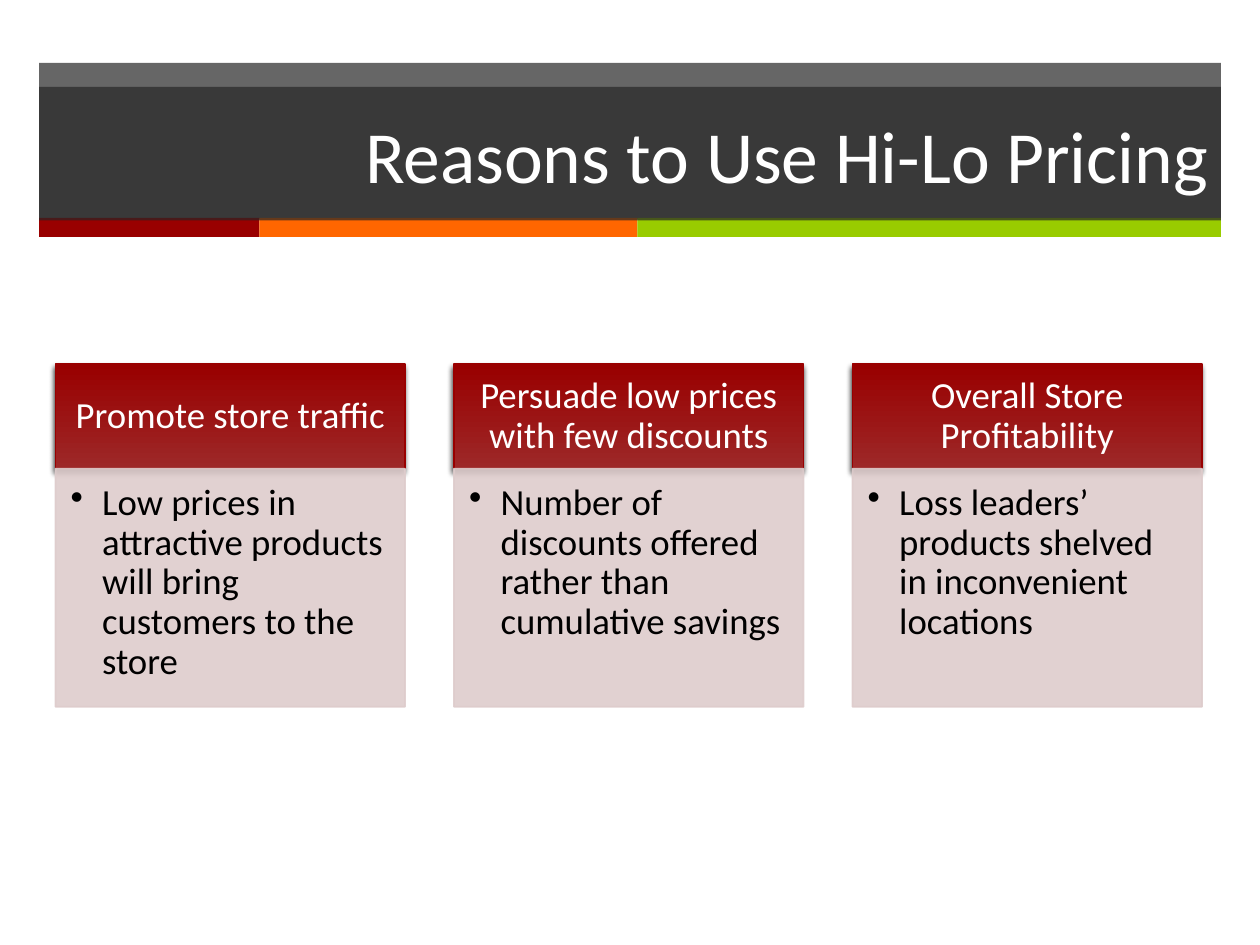
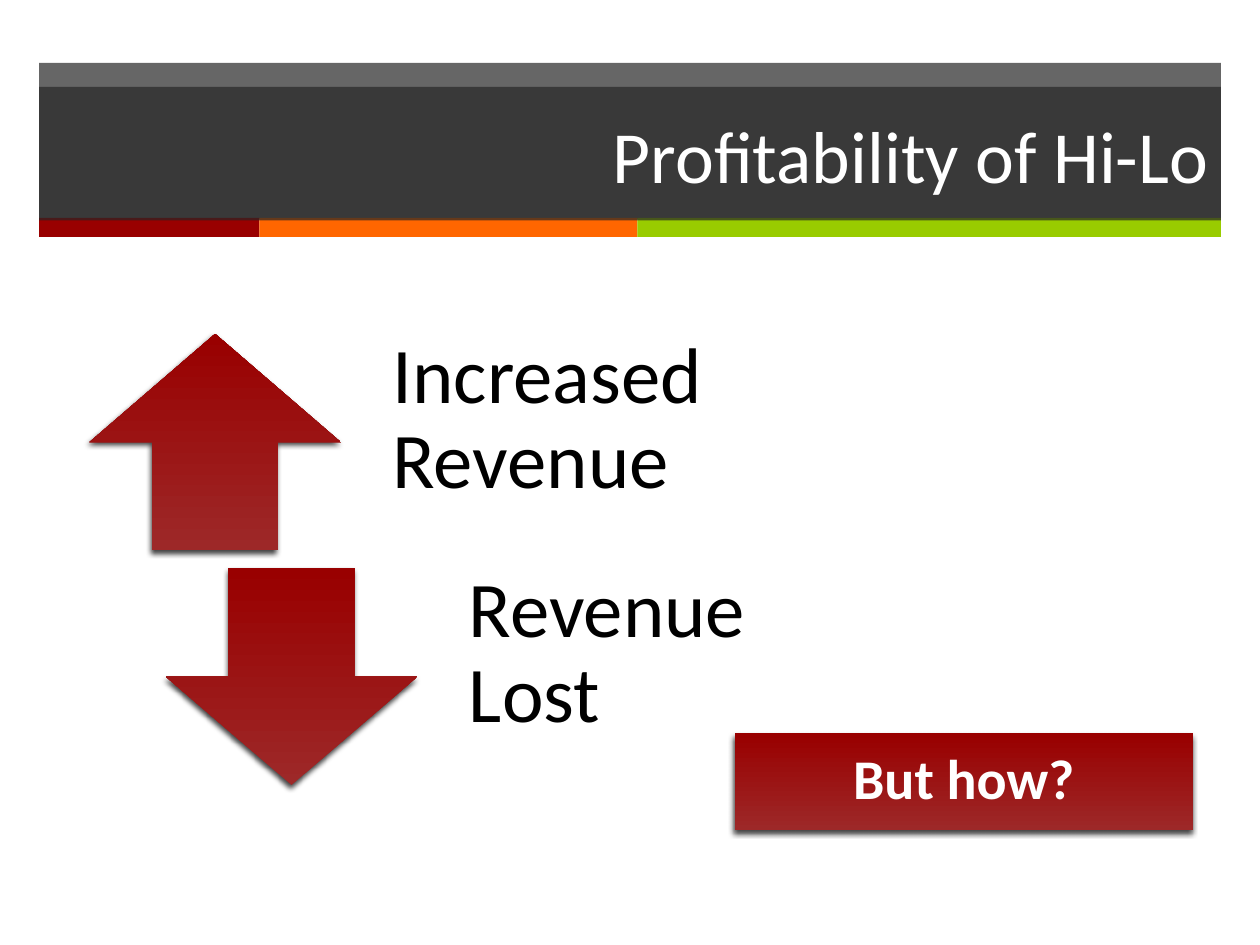
from lxml.etree import SubElement
from pptx import Presentation
from pptx.dml.color import RGBColor
from pptx.enum.shapes import MSO_SHAPE as SHAPE
from pptx.enum.text import MSO_ANCHOR as ANCHOR, MSO_AUTO_SIZE as AUTO, PP_ALIGN as ALIGN
from pptx.oxml.ns import qn
from pptx.util import Inches, Pt

FONT = "Calibri"
WHITE, BLACK, CHARCOAL = "FFFFFF", "000000", "262626"
RED, LIGHT_RED, PINK = "990000", "9D2828", "DECCCC"
STRIPES = [(RED, 1.75), ("FF6600", 3), ("99CC00", 4.63)]
BAND_X, BAND_Y, BAND_W, BAND_H = 0.31, 0.5, 9.38, 1.24


def rgb(hex_code):
    return RGBColor.from_string(hex_code)


def set_alpha(sp, percent):
    """Make the fill and line colours of a shape translucent."""
    for clr in sp.element.spPr.iter(qn("a:srgbClr")):
        SubElement(clr, qn("a:alpha"), val=str(percent * 1000))


def fill_solid(sp, color, alpha=100):
    sp.fill.solid()
    sp.fill.fore_color.rgb = rgb(color)
    if alpha < 100:
        set_alpha(sp, alpha)


def add_box(s, kind, box, line=None):
    sp = s.shapes.add_shape(kind, *map(Inches, box))
    sp.shadow.inherit = False
    if line:
        sp.line.color.rgb = rgb(line)
        sp.line.width = Pt(1)
    else:
        sp.line.fill.background()
    return sp


def add_red_box(s, kind, box, line=None):
    """Add a shape with the red gradient and soft drop shadow."""
    sp = add_box(s, kind, box, line)
    sp.fill.gradient()
    sp.fill.gradient_angle = 90
    for stop, color in zip(sp.fill.gradient_stops, (LIGHT_RED, RED)):
        stop.color.rgb = rgb(color)
    effects = sp.element.spPr.find(qn("a:effectLst"))
    shadow = SubElement(effects, qn("a:outerShdw"), blurRad=str(Pt(3)), dist=str(Pt(2)),
                        dir=str(110 * 60000), algn="ctr", rotWithShape="0")
    clr = SubElement(shadow, qn("a:srgbClr"), val=BLACK)
    SubElement(clr, qn("a:alpha"), val="75000")
    return sp


def write(sp, text, size, color, align=ALIGN.LEFT, anchor=ANCHOR.MIDDLE,
          insets=(0.1, 0.05, 0.1, 0.05), spacing=0.9, bold=False, bullet=False):
    tf = sp.text_frame
    tf.word_wrap = True
    tf.auto_size = AUTO.NONE
    tf.vertical_anchor = anchor
    tf.margin_left, tf.margin_top, tf.margin_right, tf.margin_bottom = map(Inches, insets)
    p = tf.paragraphs[0]
    p.alignment = align
    p.line_spacing = spacing
    if bullet:
        pPr = p._p.get_or_add_pPr()
        pPr.set("marL", str(Inches(0.25)))
        pPr.set("indent", str(-Inches(0.25)))
        SubElement(pPr, qn("a:buChar"), char="•")
    r = p.add_run()
    r.text = text
    r.font.name, r.font.size, r.font.bold = FONT, Pt(size), bold
    r.font.color.rgb = rgb(color)


def move_bands_to_layout(s):
    """Draw the header band and its stripes, then hand them to the layout."""
    band = add_box(s, SHAPE.RECTANGLE, (BAND_X, BAND_Y, BAND_W, BAND_H))
    fill_solid(band, CHARCOAL, 70)
    bands, x = [band], BAND_X
    for color, width in STRIPES:
        stripe = add_box(s, SHAPE.RECTANGLE, (x, 1.73, width, 0.15))
        fill_solid(stripe, color)
        bands.append(stripe)
        x += width
    for sp in bands:
        s.slide_layout.shapes.element.append(sp.element)


def add_titled_slide(prs, title):
    s = prs.slides.add_slide(prs.slide_layouts[5])
    sp = s.shapes.title
    sp.left, sp.top, sp.width, sp.height = map(Inches, (BAND_X, 0.69, BAND_W, 1.06))
    fill_solid(sp, CHARCOAL, 70)
    write(sp, title, 42, WHITE, ALIGN.RIGHT, spacing=1.0)
    return s


def add_reason_cards(s, box, cards):
    """Lay out equal columns, each a red heading over a pink body."""
    x, y, w, h = box
    gap = 0.14
    card_w = w / (len(cards) + gap * (len(cards) - 1))
    head_h = 0.305 * h
    for i, (heading, body) in enumerate(cards):
        left = x + i * card_w * (1 + gap)
        head = add_red_box(s, SHAPE.RECTANGLE, (left, y, card_w, head_h), line=RED)
        write(head, heading, 21, WHITE, ALIGN.CENTER, insets=(0.16, 0.09, 0.16, 0.09))
        panel = add_box(s, SHAPE.RECTANGLE, (left, y + head_h, card_w, h - head_h), line=PINK)
        fill_solid(panel, PINK, 90)
        write(panel, body, 21, BLACK, anchor=ANCHOR.TOP,
              insets=(0.12, 0.12, 0.16, 0.18), bullet=True)


def add_arrow_rows(s, box, rows):
    """Stack arrow-and-label rows, each stepped to the right of the last."""
    x, y, w, h = box
    row_w, row_h = 0.9 * w, 0.48 * h
    for i, (arrow, label) in enumerate(rows):
        left, top = x + i * (w - row_w), y + i * (h - row_h)
        add_red_box(s, arrow, (left, top, 0.366 * row_w, row_h))
        text_x = 0.377 * row_w
        tb = s.shapes.add_textbox(*map(Inches, (left + text_x, top, row_w - text_x, row_h)))
        write(tb, label, 45, BLACK, insets=(0.35, 0, 0.35, 0.35))


def add_callout(s, box, text):
    sp = add_red_box(s, SHAPE.RECTANGLE, box)
    write(sp, text, 32, WHITE, ALIGN.CENTER, insets=(0.13,) * 4, bold=True)


def main():
    prs = Presentation()
    prs.slide_width, prs.slide_height = Inches(10), Inches(7.5)

    s = add_titled_slide(prs, "Reasons to Use Hi-Lo Pricing")
    move_bands_to_layout(s)
    add_reason_cards(s, (0.44, 2.89, 9.1, 2.72), [
        ("Promote store traffic",
         "Low prices in attractive products will bring customers to the store"),
        ("Persuade low prices with few discounts",
         "Number of discounts offered rather than cumulative savings"),
        ("Overall Store Profitability",
         "Loss leaders’ products shelved in inconvenient locations"),
    ])

    s = add_titled_slide(prs, "Profitability of Hi-Lo")
    add_arrow_rows(s, (0.71, 2.65, 6.06, 3.58), [
        (SHAPE.UP_ARROW, "Increased Revenue"),
        (SHAPE.DOWN_ARROW, "Revenue Lost"),
    ])
    add_callout(s, (5.83, 5.82, 3.64, 0.77), "But how?")

    prs.save("out.pptx")


if __name__ == "__main__":
    main()
